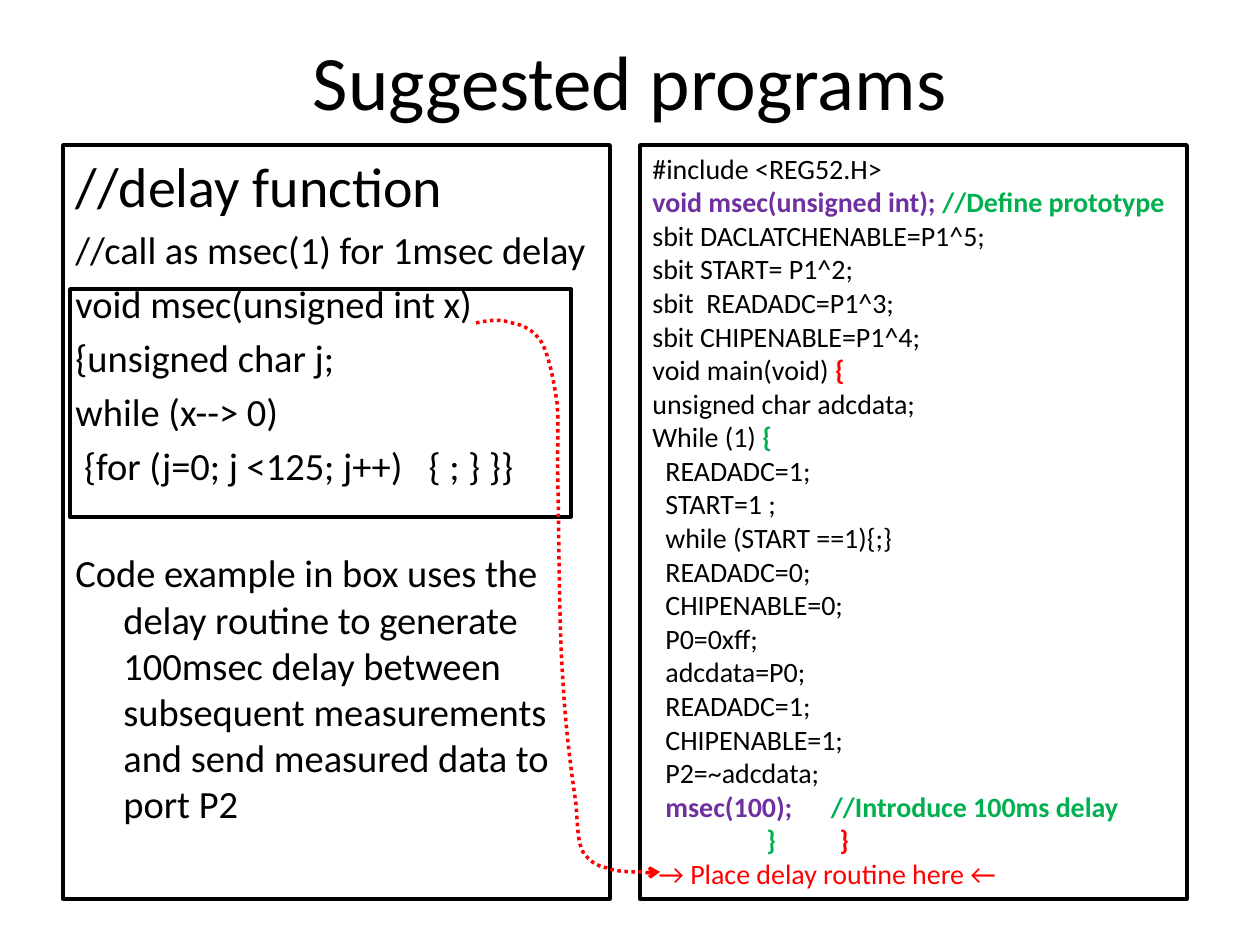
"""Build a slide that pairs a delay function with the program that calls it."""
from dataclasses import dataclass
from typing import Any

import lxml.etree
import pptx
import pptx.dml.color
import pptx.enum.dml
import pptx.enum.shapes
import pptx.enum.text
import pptx.oxml.ns
import pptx.shapes.autoshape
import pptx.slide
import pptx.util

SCALE = 914400 / 126
FONT = "Calibri"
BLACK = pptx.dml.color.RGBColor(0x00, 0x00, 0x00)
PURPLE = pptx.dml.color.RGBColor(0x70, 0x30, 0xA0)
GREEN = pptx.dml.color.RGBColor(0x00, 0xB0, 0x50)
RED = pptx.dml.color.RGBColor(0xFF, 0x00, 0x00)
qn = pptx.oxml.ns.qn


@dataclass(frozen=True)
class Span:
    text: str
    color: pptx.dml.color.RGBColor = BLACK
    bold: bool = False
    spacing: int = 0


@dataclass(frozen=True)
class Para:
    spans: tuple[Span, ...]
    size: int = 16
    before: float = 0
    margin: int = 0
    hanging: int = 0


@dataclass(frozen=True)
class Panel:
    left: int
    top: int
    width: int
    height: int
    paras: tuple[Para, ...] = ()


def code(*texts: str, margin: int = 0) -> tuple[Para, ...]:
    return tuple(Para((Span(text),), margin=margin) for text in texts)


def prose(text: str, size: int = 22, before: float = 4.4) -> Para:
    return Para((Span(text),), size, before, margin=48, hanging=48)


DELAY_PARAS = (
    prose("//delay function", 32, 6.4),
    prose("//call as msec(1) for 1msec delay"),
    prose("void msec(unsigned int x)"),
    prose("{unsigned char j;"),
    prose("while (x--> 0)"),
    Para((Span(" {for (j=0; j <125; j++)"), Span(" ", spacing=17), Span("{ ; } }}")),
         22, 4.4),
    prose("Code example in box uses the delay routine to generate 100msec delay between "
          "subsequent measurements and send measured data to port P2", before=35.2),
)
MAIN_PARAS = (
    *code("#include <REG52.H>"),
    Para((Span("void msec(unsigned int); ", PURPLE, True),
          Span("//Define prototype", GREEN, True))),
    *code("sbit DACLATCHENABLE=P1^5;", "sbit START= P1^2;",
          "sbit  READADC=P1^3;", "sbit CHIPENABLE=P1^4;"),
    Para((Span("void main(void) "), Span("{", RED, True))),
    *code("unsigned char adcdata;"),
    Para((Span("While (1) "), Span("{", GREEN, True))),
    *code("READADC=1;", "START=1 ;", "while (START ==1){;}", "READADC=0;",
          "CHIPENABLE=0;", "P0=0xff;", "adcdata=P0;", "READADC=1;",
          "CHIPENABLE=1;", "P2=~adcdata;", margin=13),
    Para((Span("msec(100);", PURPLE, True), Span(" ", GREEN, True, 32),
          Span("//Introduce 100ms delay", GREEN, True)), margin=13),
    Para((Span("}", GREEN, True), Span(" ", RED, True, 57), Span("}", RED, True)),
         margin=114),
    Para((Span(" → Place delay routine here ←", RED),)),
)
PANELS = (
    Panel(63, 145, 547, 754, DELAY_PARAS),
    Panel(640, 145, 547, 754, MAIN_PARAS),
    Panel(70, 289, 501, 228),
)
CALL_START = (476, 323)
CALL_CURVE = (
    (489, 320), (501, 319), (512, 323), (523, 325), (534, 330), (542, 343),
    (549, 357), (553, 377), (557, 402), (559, 426), (557, 442), (558, 489),
    (559, 536), (559, 629), (563, 682), (566, 735), (572, 776), (576, 804),
    (578, 833), (578, 842), (583, 852), (590, 862), (597, 866), (607, 868),
    (616, 872), (633, 872), (641, 872), (650, 873), (655, 873), (660, 872),
)


def emu(px: int) -> int:
    return round(px * SCALE)


def apply(target: Any, values: dict[str, Any]) -> None:
    for name, value in values.items():
        setattr(target, name, value)


def place(shape: Any, left: int, top: int, width: int, height: int) -> None:
    apply(shape, {"left": emu(left), "top": emu(top),
                  "width": emu(width), "height": emu(height)})


def write_para(para: Any, content: Para) -> None:
    apply(para, {"alignment": pptx.enum.text.PP_ALIGN.LEFT,
                 "space_before": pptx.util.Pt(content.before)})
    props = para._p.get_or_add_pPr()
    props.set("marL", str(emu(content.margin)))
    props.set("indent", str(-emu(content.hanging)))
    for span in content.spans:
        run = para.add_run()
        run.text = span.text
        apply(run.font, {"name": FONT, "size": pptx.util.Pt(content.size), "bold": span.bold})
        run.font.color.rgb = span.color
        if span.spacing:
            hundredths = round(pptx.util.Emu(emu(span.spacing)).pt * 100)
            run._r.get_or_add_rPr().set("spc", str(hundredths))


def outline(shape: pptx.shapes.autoshape.Shape, color: pptx.dml.color.RGBColor) -> Any:
    shape.shadow.inherit = False
    shape.fill.background()
    shape.line.color.rgb = color
    shape.line.width = pptx.util.Pt(2)
    return shape.line._get_or_add_ln()


def draw_panel(page: pptx.slide.Slide, panel: Panel) -> None:
    box = page.shapes.add_shape(pptx.enum.shapes.MSO_SHAPE.RECTANGLE, 0, 0, 0, 0)
    place(box, panel.left, panel.top, panel.width, panel.height)
    lxml.etree.SubElement(outline(box, BLACK), qn("a:round"))
    frame = box.text_frame
    apply(frame, {"word_wrap": True, "vertical_anchor": pptx.enum.text.MSO_ANCHOR.TOP})
    for index, content in enumerate(panel.paras):
        write_para(frame.add_paragraph() if index else frame.paragraphs[0], content)


def draw_call_arrow(page: pptx.slide.Slide) -> None:
    builder = page.shapes.build_freeform(*CALL_START, scale=SCALE)
    builder.add_line_segments(CALL_CURVE, close=False)
    arrow = builder.convert_to_shape()
    line = outline(arrow, RED)
    arrow.line.dash_style = pptx.enum.dml.MSO_LINE.ROUND_DOT
    lxml.etree.SubElement(line, qn("a:round"))
    lxml.etree.SubElement(line, qn("a:tailEnd"), type="arrow")
    steps = list(arrow._element.iter(qn("a:lnTo")))
    for first in range(0, len(steps), 3):
        curve = lxml.etree.Element(qn("a:cubicBezTo"))
        steps[first].addprevious(curve)
        for step in steps[first:first + 3]:
            curve.append(step[0])
            step.getparent().remove(step)


def draw_title(page: pptx.slide.Slide) -> None:
    title = page.shapes.title
    place(title, 63, 1, 1134, 158)
    title.text_frame.text = "Suggested programs"
    title.text_frame.vertical_anchor = pptx.enum.text.MSO_ANCHOR.MIDDLE
    para = title.text_frame.paragraphs[0]
    para.alignment = pptx.enum.text.PP_ALIGN.CENTER
    apply(para.runs[0].font, {"name": FONT, "size": pptx.util.Pt(44)})
    para.runs[0].font.color.rgb = BLACK


def main() -> None:
    deck = pptx.Presentation()
    apply(deck, {"slide_width": emu(1260), "slide_height": emu(945)})
    page = deck.slides.add_slide(deck.slide_layouts[5])
    draw_title(page)
    for panel in PANELS:
        draw_panel(page, panel)
    draw_call_arrow(page)
    deck.save("out.pptx")


if __name__ == "__main__":
    main()
